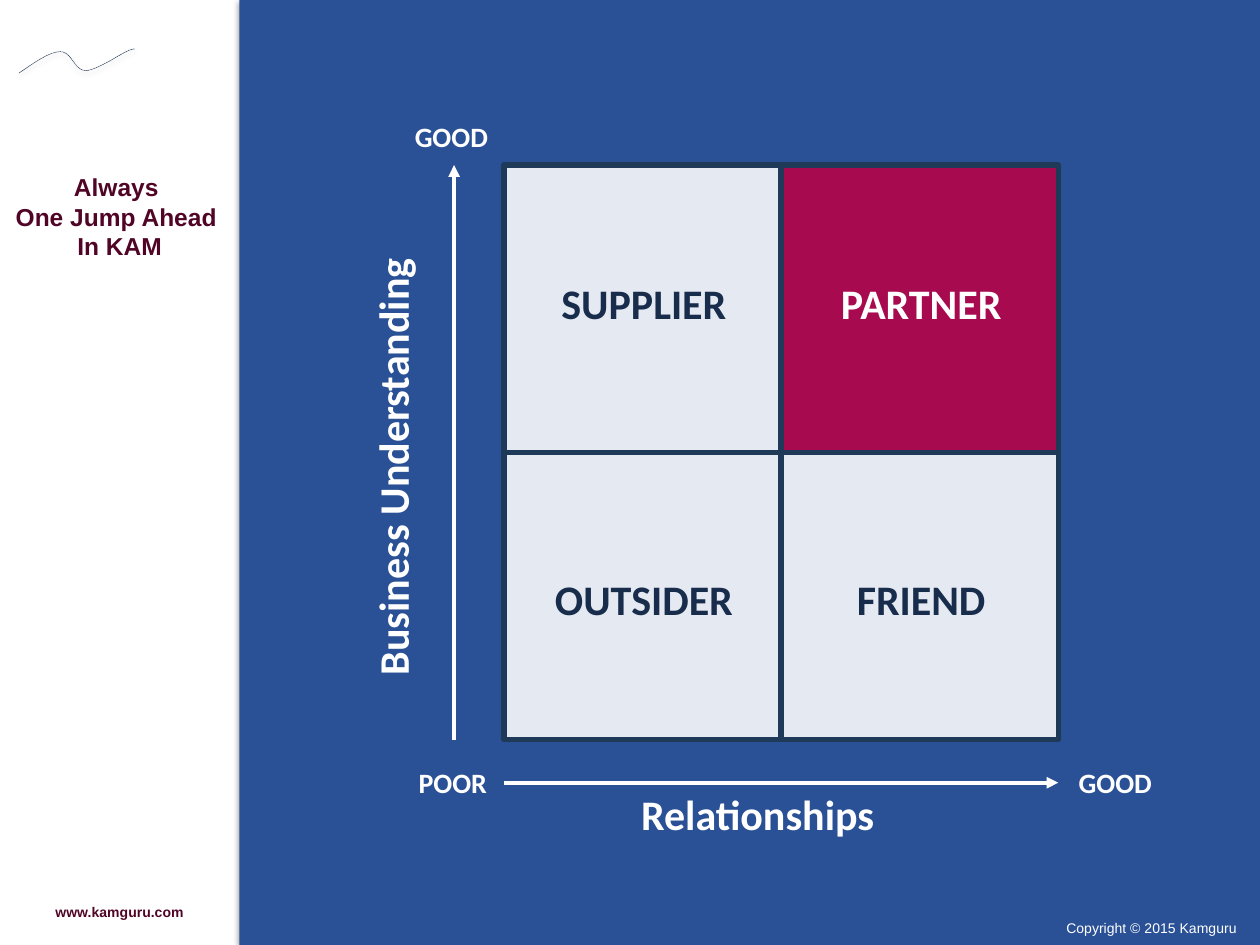
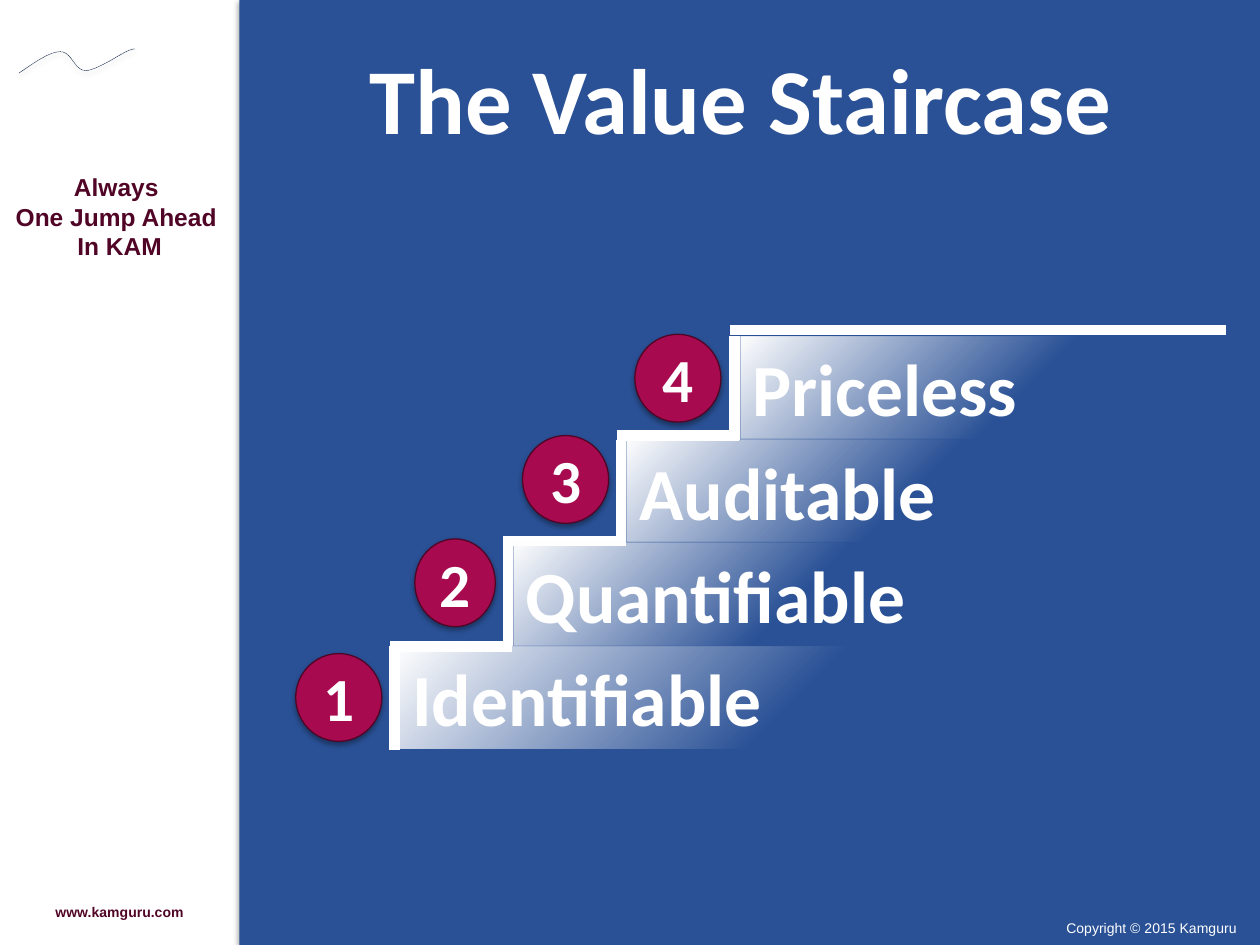
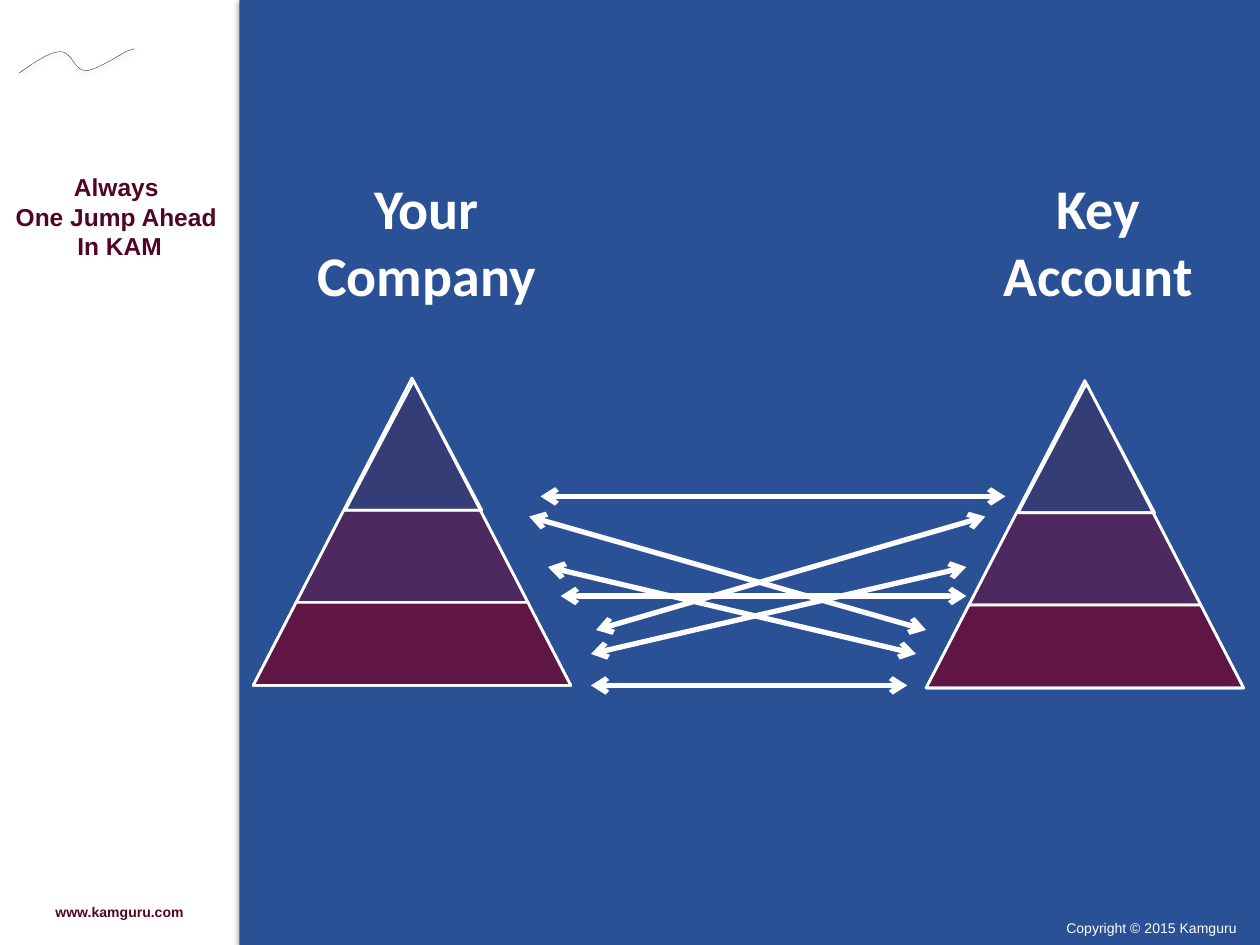
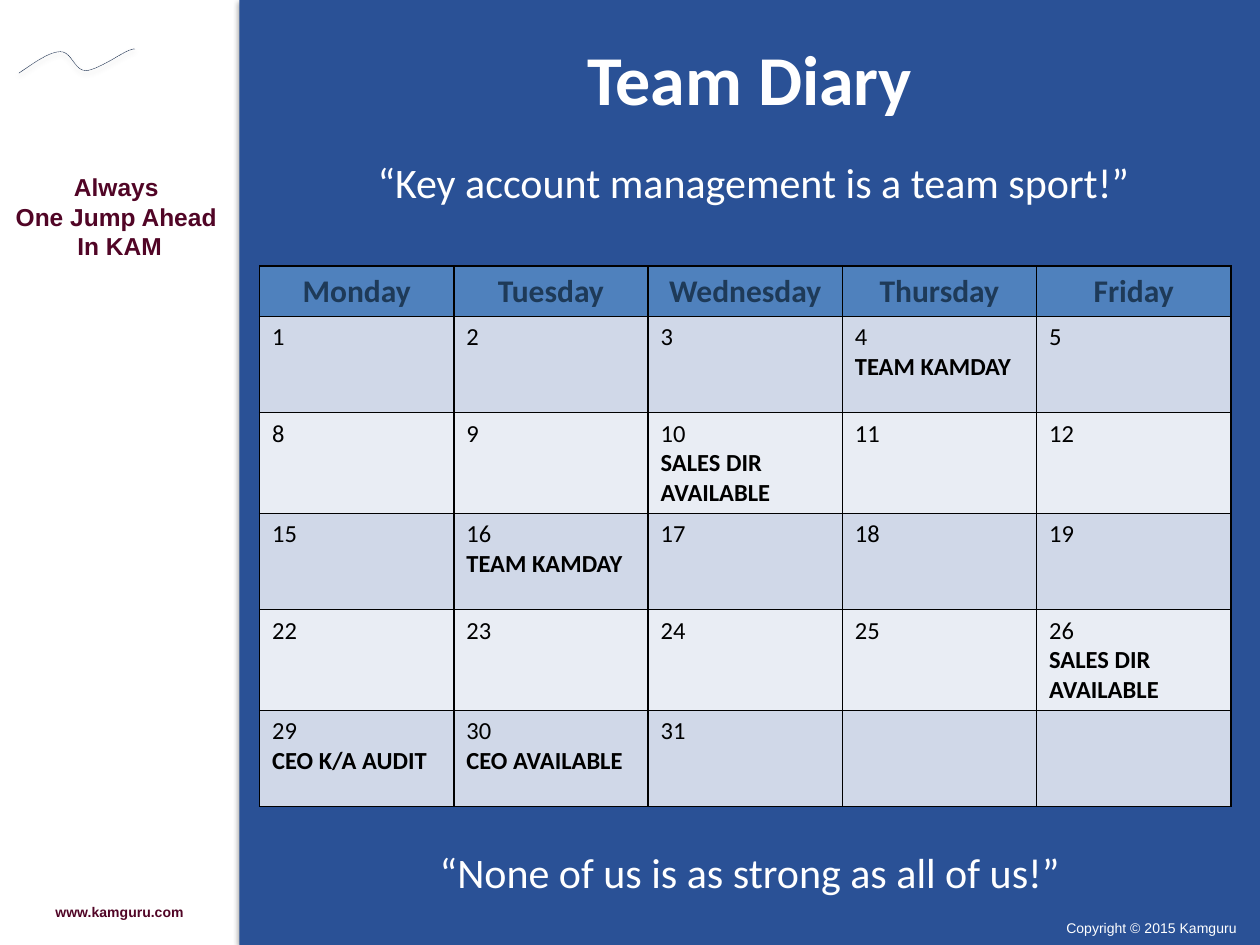
from dataclasses import dataclass

from lxml import etree
from pptx import Presentation
from pptx import util as u
from pptx.dml.color import RGBColor
from pptx.enum import dml, shapes, text
from pptx.oxml import ns

COLORS = {
    "white": "FFFFFF", "black": "000000", "blue": "2A5196", "wine": "510526",
    "crimson": "A70A4F", "navy": "182C4C", "frame": "1E3A58", "plum": "4F1335",
    "ruby": "72022A", "header": "4F81BD", "odd": "D0D8E8", "even": "E9EDF4",
}


def font_format(size, bold=True, name="Calibri"):
    return {"size": u.Pt(size), "bold": bold, "name": name}


FORMATS = {
    "slogan": font_format(14, name="Arial"),
    "web": font_format(8, name="Arial"),
    "copyright": font_format(8, False, "Arial"),
    "axis_end": font_format(16),
    "label": font_format(24),
    "quote": font_format(24, False),
    "party": font_format(32),
    "badge": font_format(35),
    "title": font_format(40),
    "step": font_format(42),
    "big_title": font_format(53),
    "day": font_format(18),
    "date": font_format(14, False),
    "event": font_format(14),
}
LEFT, CENTER = text.PP_ALIGN.LEFT, text.PP_ALIGN.CENTER
SHAPE = shapes.MSO_SHAPE


@dataclass
class Box:
    """An area in inches, divided into a grid of columns and rows."""
    left: float
    top: float
    width: float
    height: float
    cols: float = 1
    rows: float = 1

    def point(self, col, row):
        return (u.Inches(self.left + col * self.width / self.cols),
                u.Inches(self.top + row * self.height / self.rows))

    def at(self, col, row, across, down, cols=1, rows=1):
        cw, rh = self.width / self.cols, self.height / self.rows
        return Box(self.left + col * cw, self.top + row * rh,
                   across * cw, down * rh, cols, rows)

    def emu(self):
        return [u.Inches(v) for v in (self.left, self.top, self.width, self.height)]


PAGE = Box(0, 0, 10, 7.5, 100, 75)
SIDEBAR = PAGE.at(0, 0, 19, 75, 19, 75)
STAGE = PAGE.at(19, 0, 81, 75, 81, 75)


# Drawing helpers

def rgb(color):
    return RGBColor.from_string(COLORS[color])


def add_xml(parent, tag, **attrs):
    return etree.SubElement(parent, ns.qn(tag), {k: str(v) for k, v in attrs.items()})


def set_alpha(color_parent, percent):
    color = next(color_parent.iter(ns.qn("a:srgbClr")))
    add_xml(color, "a:alpha", val=percent * 1000)


def write(tf, lines, fmt, color="white", align=CENTER):
    """Write one paragraph per line, each in the named format."""
    for i, line in enumerate(lines):
        p = tf.paragraphs[0] if i == 0 else tf.add_paragraph()
        p.alignment = align
        r = p.add_run()
        r.text = line
        for key, value in FORMATS[fmt].items():
            setattr(r.font, key, value)
        r.font.color.rgb = rgb(color)


def add_text(s, box, lines, fmt, color="white", rotation=0):
    sp = s.shapes.add_textbox(*box.emu())
    sp.rotation = rotation
    sp.text_frame.word_wrap = True
    write(sp.text_frame, lines, fmt, color)


def paint(sp, fill=None, alpha=100, line=None, width=1.5, shadow=None):
    """Set fill, line and shadow; shadow is (opacity, blur, distance)."""
    if fill:
        sp.fill.solid()
        sp.fill.fore_color.rgb = rgb(fill)
        if alpha < 100:
            set_alpha(sp.element.spPr.find(ns.qn("a:solidFill")), alpha)
    else:
        sp.fill.background()
    if line:
        sp.line.color.rgb = rgb(line)
        sp.line.width = u.Pt(width)
    else:
        sp.line.fill.background()
    sp.shadow.inherit = False
    if shadow:
        opacity, blur, dist = shadow
        effects = sp.element.spPr.find(ns.qn("a:effectLst"))
        outer = add_xml(effects, "a:outerShdw", blurRad=u.Pt(blur), dist=u.Pt(dist),
                        dir=5400000, rotWithShape=0)
        color = add_xml(outer, "a:srgbClr", val=COLORS["black"])
        add_xml(color, "a:alpha", val=opacity * 1000)


def add_shape(s, kind, box, **look):
    sp = s.shapes.add_shape(kind, *box.emu())
    paint(sp, **look)
    return sp


def add_outline(s, points, closed=True, **look):
    builder = s.shapes.build_freeform(*points[0])
    builder.add_line_segments(points[1:], close=closed)
    sp = builder.convert_to_shape()
    paint(sp, **look)
    return sp


def add_line(s, box, start, end, width, **ends):
    """Draw a white line; ends may give headEnd and tailEnd types."""
    cn = s.shapes.add_connector(shapes.MSO_CONNECTOR.STRAIGHT,
                                *box.point(*start), *box.point(*end))
    cn.line.color.rgb = rgb("white")
    cn.line.width = u.Pt(width)
    for tag, kind in ends.items():
        add_xml(cn.line._get_or_add_ln(), f"a:{tag}", type=kind)
    add_xml(cn.element.spPr, "a:effectLst")


# Shared frame

def bezier(p0, p1, p2, p3, steps=12):
    for i in range(1, steps + 1):
        t = i / steps
        weights = ((1 - t) ** 3, 3 * t * (1 - t) ** 2, 3 * t * t * (1 - t), t ** 3)
        yield tuple(sum(w * p[k] for w, p in zip(weights, (p0, p1, p2, p3)))
                    for k in (0, 1))


def draw_swoosh(s, box):
    knots = [(1.5, 5.8), (2.7, 5), (3.9, 4.1), (4.8, 4.1), (5.7, 4.1), (5.9, 5.6),
             (6.8, 5.6), (7.6, 5.6), (9.4, 4.4), (10, 4.1), (10.7, 3.8), (10.7, 3.9),
             (10.7, 3.9)]
    curve = knots[:1]
    for i in range(0, len(knots) - 1, 3):
        curve += bezier(*knots[i:i + 4])
    sp = add_outline(s, [box.point(*p) for p in curve], closed=False,
                     line="navy", width=0.25, shadow=(38, 3.1, 1.6))
    sp.line.dash_style = dml.MSO_LINE.SQUARE_DOT


def draw_frame(s, sidebar, stage):
    add_shape(s, SHAPE.RECTANGLE, stage, fill="blue", shadow=(35, 3.1, 1.8))
    add_text(s, sidebar.at(0, 13.2, 19, 10.4),
             ["Always ", "One Jump Ahead ", "In KAM"], "slogan", "wine")
    add_text(s, sidebar.at(0, 71.2, 19, 5), ["www.kamguru.com"], "web", "wine")
    add_text(s, stage.at(62.9, 72.5, 19, 5), ["Copyright © 2015 Kamguru"], "copyright")
    draw_swoosh(s, sidebar)


# Relationship matrix

def draw_matrix(s, box):
    """Fill a 2 x 2 box with quadrants and set the axes around it."""
    quadrants = [["SUPPLIER", "PARTNER"], ["OUTSIDER", "FRIEND"]]
    for row, names in enumerate(quadrants):
        for col, name in enumerate(names):
            look = ({"fill": "crimson"} if name == "PARTNER"
                    else {"fill": "white", "alpha": 88})
            add_shape(s, SHAPE.RECTANGLE, box.at(col, row, 1, 1),
                      line="frame", width=3, **look)

    add_line(s, box, (0, 2.15), (2, 2.15), 2.25, tailEnd="triangle")
    add_line(s, box, (-0.18, 2), (-0.18, 0), 2.25, tailEnd="triangle")
    for name, place in (("POOR", (-0.4, 2.07, 0.43, 0.16)),
                        ("GOOD", (2, 2.07, 0.41, 0.16)),
                        ("GOOD", (-0.4, -0.18, 0.42, 0.28))):
        add_text(s, box.at(*place), [name], "axis_end")
    add_text(s, box.at(-0.05, 2.15, 1.93, 0.22), ["Relationships"], "label")
    add_text(s, box.at(-1.22, 0.85, 1.82, 0.4), ["Business Understanding"],
             "label", rotation=270)

    for row, names in enumerate(quadrants):
        for col, name in enumerate(names):
            add_text(s, box.at(col + 0.09, row * 1.03 + 0.37, 0.83, 0.22), [name],
                     "label", "white" if name == "PARTNER" else "navy")


# Value staircase

def draw_step_bar(s, box, name):
    sp = add_shape(s, SHAPE.RECTANGLE, box)
    sp.fill.gradient()
    sp.fill.gradient_angle = 315
    for stop, position in zip(sp.fill.gradient_stops, (0, 0.48)):
        stop.color.rgb = rgb("white")
        stop.position = position
    set_alpha(sp.element.spPr.findall(".//" + ns.qn("a:gs"))[1], 0)
    sp.text_frame.vertical_anchor = text.MSO_ANCHOR.MIDDLE
    write(sp.text_frame, [name], "step", align=LEFT)


def draw_badge(s, box, number):
    sp = add_shape(s, SHAPE.OVAL, box, fill="crimson", line="wine", width=0.75,
                   shadow=(35, 3.1, 1.8))
    sp.text_frame.vertical_anchor = text.MSO_ANCHOR.MIDDLE
    write(sp.text_frame, [str(number)], "badge")


def draw_staircase(s, box):
    """Climb a square grid one column and one row per step."""
    # name, bar width, badge column, row and width
    steps = [("Identifiable", 7.32, -0.87, 3.07, 0.76),
             ("Quantifiable", 5.3, 0.18, 1.96, 0.71),
             ("Auditable", 5.3, 1.13, 0.96, 0.76),
             ("Priceless", 5.3, 2.12, -0.02, 0.76)]
    last = len(steps) - 1
    for i in range(len(steps)):
        tread = last - 1.02 * i
        end = 7.33 if i == last else i + 1.04
        add_line(s, box, (i, last + 1 - i), (i, last - i), 6)
        add_line(s, box, (i - 0.04, tread), (end, tread), 6)
    for i, (name, bar, col, row, width) in enumerate(steps):
        draw_step_bar(s, box.at(i + 0.05, last - i, bar, 0.99), name)
        draw_badge(s, box.at(col, row, width, 0.85), i + 1)


# Account contacts

def draw_pyramid(s, box):
    """Cut the triangle that fills the box into three tiers."""
    add_shape(s, SHAPE.ISOSCELES_TRIANGLE, box.at(0.29, 0.01, 0.43, 0.42),
              fill="plum", alpha=31, line="white")
    for top, bottom, alpha in ((0.43, 0.73, 50), (0.73, 1, 74)):
        corners = [(0.5 - bottom / 2, bottom), (0.5 - top / 2, top),
                   (0.5 + top / 2, top), (0.5 + bottom / 2, bottom)]
        add_outline(s, [box.point(*c) for c in corners],
                    fill="ruby", alpha=alpha, line="white")
    add_shape(s, SHAPE.ISOSCELES_TRIANGLE, box, line="white")


def draw_contacts(s, box):
    draw_pyramid(s, box.at(1.1, 30, 25.2, 24.4))
    draw_pyramid(s, box.at(54.5, 30.2, 25.2, 24.4))
    for start, end in (((23.9, 39.4), (60.8, 39.4)), ((27.9, 54.4), (53, 54.4)),
                       ((23, 41), (54.5, 50)), ((25.5, 47.3), (57.7, 47.3)),
                       ((59.2, 41), (28.3, 50)), ((24.5, 45), (53.7, 51.9)),
                       ((27.9, 51.9), (57.7, 45))):
        add_line(s, box, start, end, 3, headEnd="arrow", tailEnd="arrow")
    for col, lines in ((4.2, ["Your", "Company"]), (57.5, ["Key", "Account"])):
        add_text(s, box.at(col, 13.3, 21.3, 11.8), lines, "party")


# Team diary

def format_cell(cell, fill):
    tcPr = cell._tc.get_or_add_tcPr()
    for side in "LRTB":
        ln = add_xml(tcPr, f"a:ln{side}", w=u.Pt(1))
        add_xml(add_xml(ln, "a:solidFill"), "a:srgbClr", val=COLORS["black"])
    cell.fill.solid()
    cell.fill.fore_color.rgb = rgb(fill)


def draw_calendar(s, box):
    days = ["Monday", "Tuesday", "Wednesday", "Thursday", "Friday"]
    events = {4: "TEAM KAMDAY", 10: "SALES DIR AVAILABLE", 16: "TEAM KAMDAY",
              26: "SALES DIR AVAILABLE", 29: "CEO K/A AUDIT", 30: "CEO AVAILABLE"}
    weeks = 5
    table = s.shapes.add_table(weeks + 1, len(days), *box.emu()).table
    table.first_row = table.horz_banding = False
    for row in range(weeks + 1):
        share = 0.09 if row == 0 else 0.18
        table.rows[row].height = u.Inches(box.height * share)

    for col, day in enumerate(days):
        head = table.cell(0, col)
        format_cell(head, "header")
        head.vertical_anchor = text.MSO_ANCHOR.MIDDLE
        write(head.text_frame, [day], "day", "frame")
        for week in range(weeks):
            cell = table.cell(week + 1, col)
            format_cell(cell, "even" if week % 2 else "odd")
            date = week * 7 + col + 1
            if date > 31:
                continue
            write(cell.text_frame, [str(date)], "date", "black", LEFT)
            if date in events:
                p = cell.text_frame.add_paragraph()
                r = p.add_run()
                r.text = events[date]
                for key, value in FORMATS["event"].items():
                    setattr(r.font, key, value)
                r.font.color.rgb = rgb("black")


def draw_diary(s, box):
    draw_calendar(s, box.at(1.6, 21.1, 77.1, 42.4))
    add_text(s, box.at(0, 2.3, 81, 7.7), ["Team Diary"], "title")
    add_text(s, box.at(0, 11.9, 81.6, 5),
             ["“Key account management is a team sport!”"], "quote")
    add_text(s, box.at(0, 66.7, 81, 5),
             ["“None of us is as strong as all of us!”"], "quote")


# Slides

def matrix_slide(s, box):
    draw_matrix(s, box.at(21, 13.1, 44, 45.6, 2, 2))


def staircase_slide(s, box):
    add_text(s, box.at(3.8, 2.8, 72, 9.9), ["The Value Staircase"], "big_title")
    draw_staircase(s, box.at(12.3, 26.7, 36, 32.8, 4, 4))


def main():
    prs = Presentation()
    prs.slide_width, prs.slide_height = u.Inches(PAGE.width), u.Inches(PAGE.height)
    for draw in (matrix_slide, staircase_slide, draw_contacts, draw_diary):
        s = prs.slides.add_slide(prs.slide_layouts[6])
        draw_frame(s, SIDEBAR, STAGE)
        draw(s, STAGE)
    prs.save("out.pptx")


if __name__ == "__main__":
    main()
